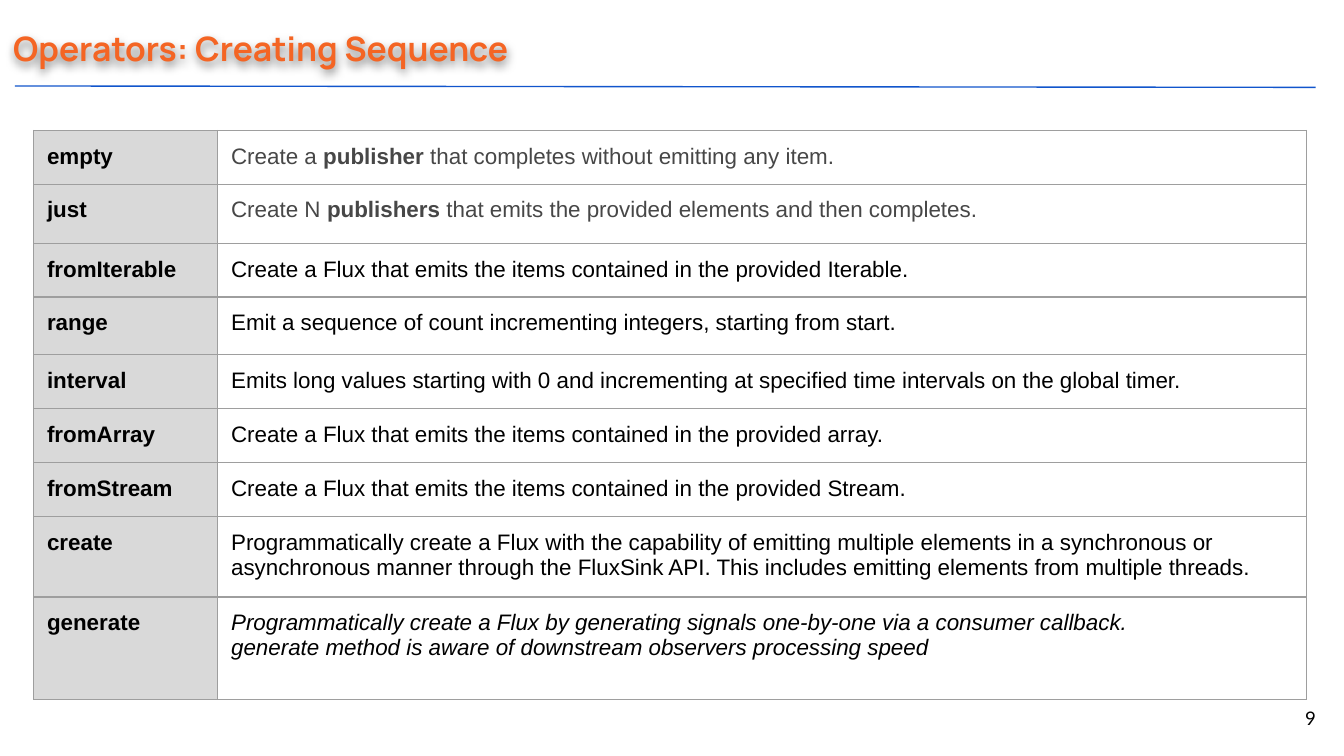
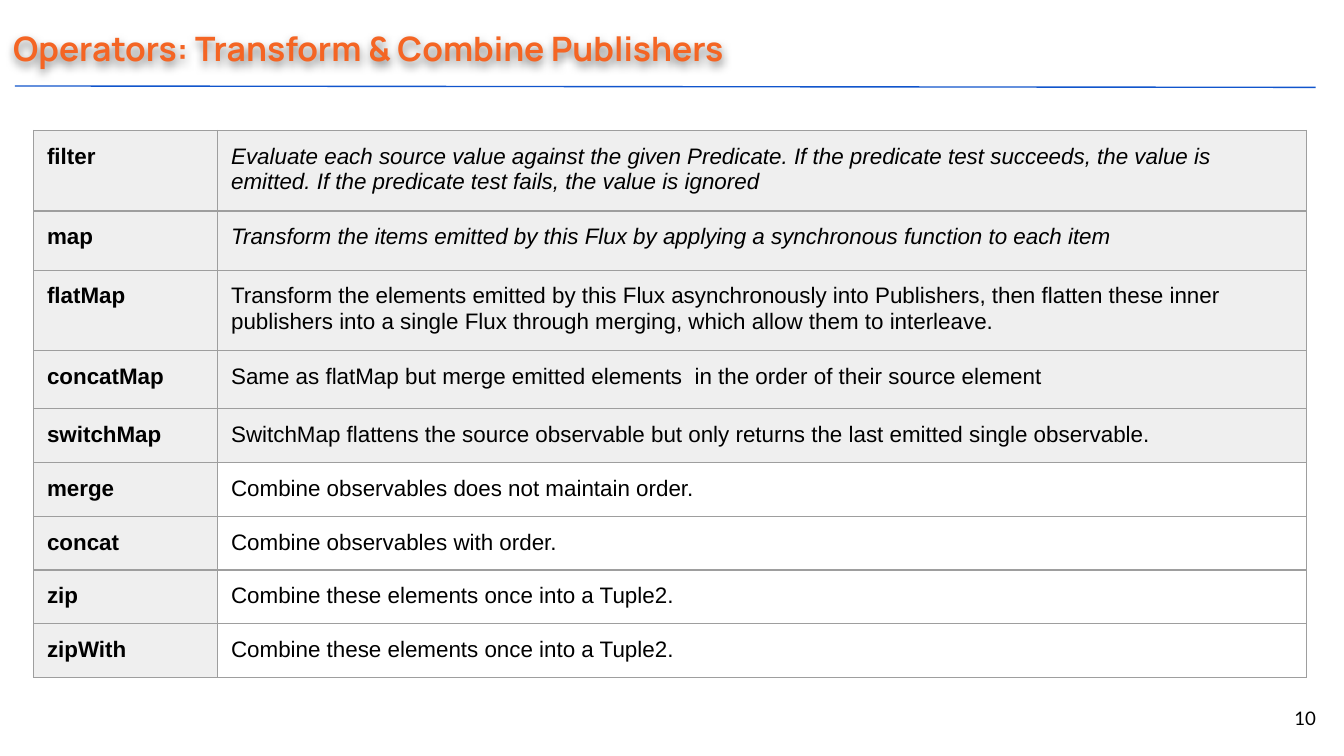
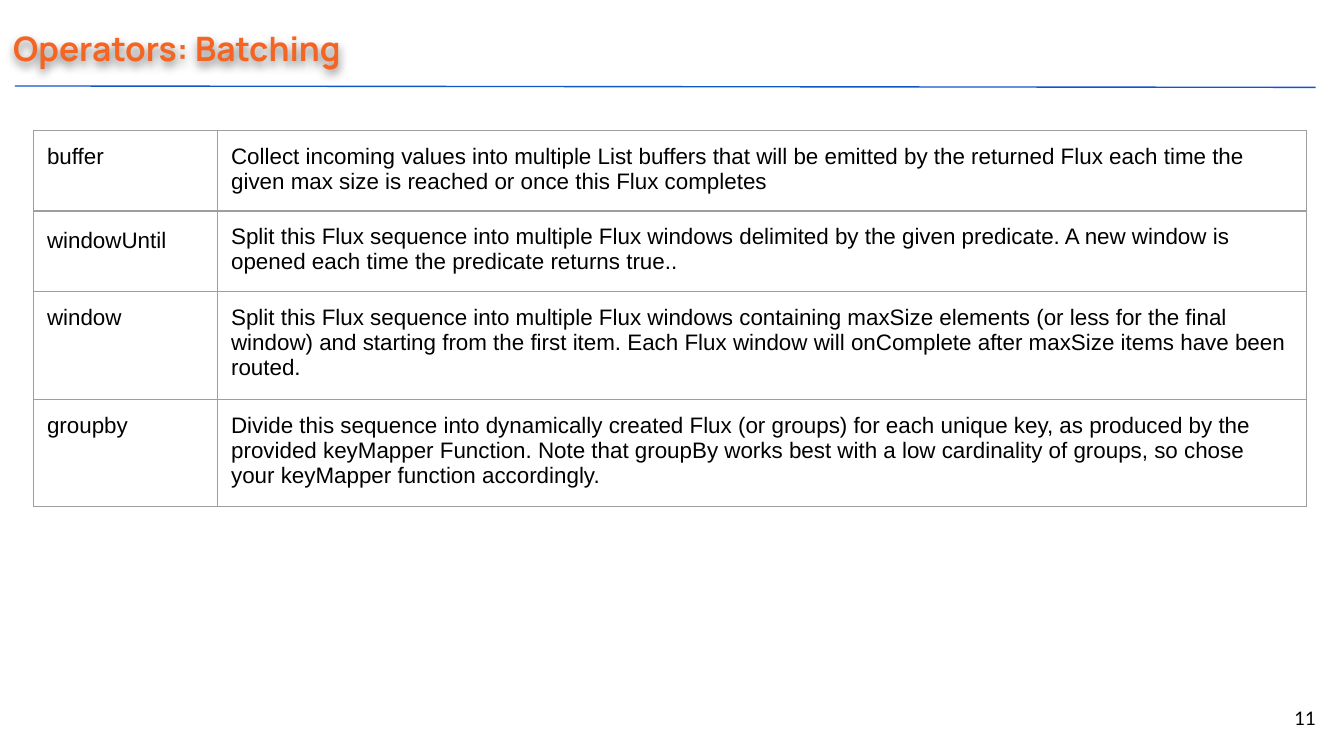
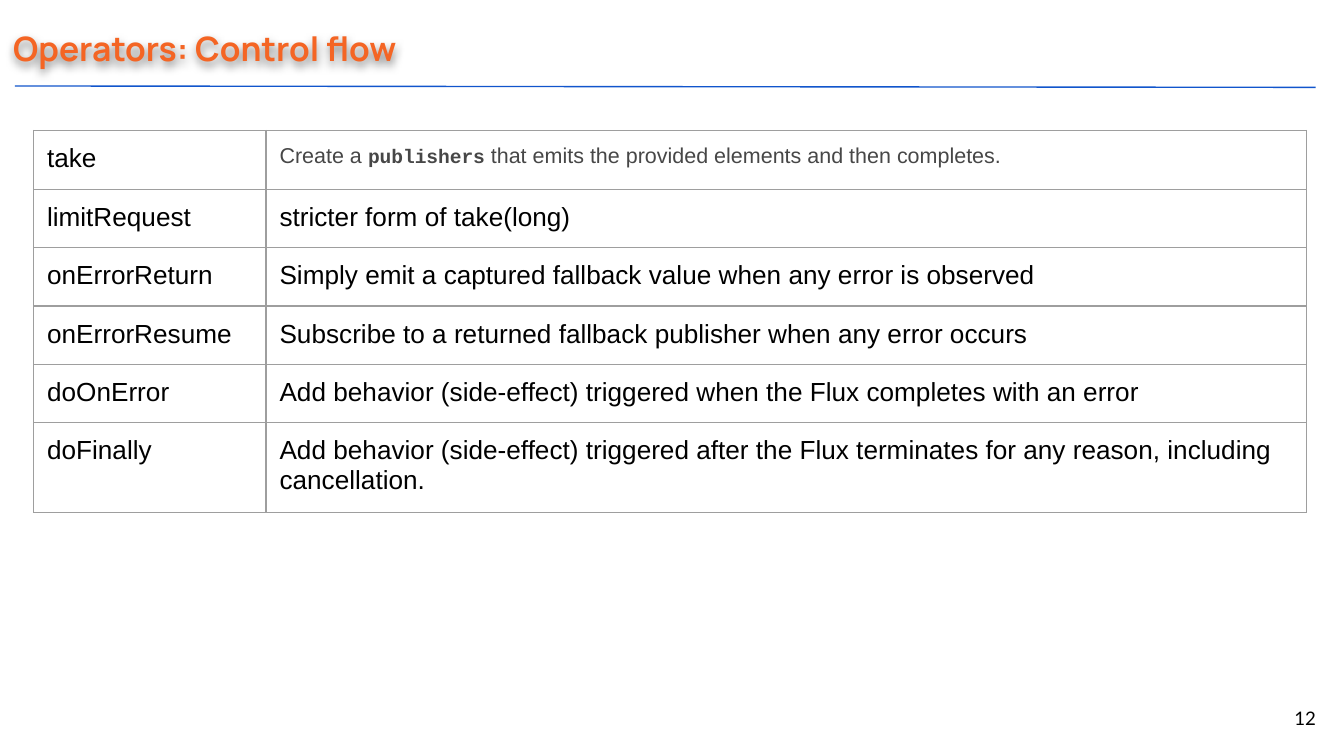
import pptx
import pptx.dml.color
import pptx.enum.shapes
import pptx.enum.text
import pptx.oxml
import pptx.util

ORANGE, BLUE, BORDER = "F46524", "1155CC", "9E9E9E"
BLACK, SLATE, WHITE = "000000", "474747", "FFFFFF"
GRAY, PALE = "D9D9D9", "EFEFEF"

GREY_TEXT = {"color": SLATE}
GREY_BOLD = {"color": SLATE, "bold": True}
ITALIC = {"italic": True}
SMALL_GREY = {"color": SLATE, "size": 11.5}
CODE = {"color": SLATE, "size": 10.5, "font": "Courier New", "bold": True}

# A description is plain text or a list of paragraphs, each a list of (text, style) runs.
# "tall" gives the height of rows that exceed the usual one, by row index.
SLIDES = [
    {
        "title": "Operators: Creating Sequence",
        "name_style": {"bold": True}, "name_fill": GRAY,
        "tall": {1: 44, 3: 43, 8: 76},
        "rows": [
            ("empty", [[("Create a ", GREY_TEXT), ("publisher", GREY_BOLD),
                        (" that completes without emitting any item.", GREY_TEXT)]]),
            ("just", [[("Create N ", GREY_TEXT), ("publishers ", GREY_BOLD),
                       ("that emits the provided elements and then completes.", GREY_TEXT)]]),
            ("fromIterable", "Create a Flux that emits the items contained in the provided Iterable."),
            ("range", "Emit a sequence of count incrementing integers, starting from start."),
            ("interval", "Emits long values starting with 0 and incrementing at specified time "
                         "intervals on the global timer."),
            ("fromArray", "Create a Flux that emits the items contained in the provided array."),
            ("fromStream", "Create a Flux that emits the items contained in the provided Stream."),
            ("create", "Programmatically create a Flux with the capability of emitting multiple "
                       "elements in a synchronous or asynchronous manner through the FluxSink API. "
                       "This includes emitting elements from multiple threads."),
            ("generate", [[("Programmatically create a Flux by generating signals one-by-one via "
                            "a consumer callback.", ITALIC)],
                          [("generate method is aware of downstream observers processing speed",
                            ITALIC)]]),
        ],
    },
    {
        "title": "Operators: Transform & Combine Publishers",
        "name_style": {"bold": True}, "name_fill": PALE,
        "shaded_descriptions": 5,
        "tall": {1: 44, 3: 43},
        "rows": [
            ("filter", [[("Evaluate each source value against the given Predicate. If the predicate "
                          "test succeeds, the value is emitted. If the predicate test fails, the "
                          "value is ignored", ITALIC)]]),
            ("map", [[("Transform the items emitted by this Flux by applying a synchronous function "
                       "to each item", ITALIC)]]),
            ("flatMap", "Transform the elements emitted by this Flux asynchronously into Publishers, "
                        "then flatten these inner publishers into a single Flux through merging, "
                        "which allow them to interleave."),
            ("concatMap", "Same as flatMap but merge emitted elements  in the order of their source "
                          "element"),
            ("switchMap", "SwitchMap flattens the source observable but only returns the last "
                          "emitted single observable."),
            ("merge", "Combine observables does not maintain order."),
            ("concat", "Combine observables with order."),
            ("zip", "Combine these elements once into a Tuple2."),
            ("zipWith", "Combine these elements once into a Tuple2."),
        ],
    },
    {
        "title": "Operators: Batching",
        "tall": {1: 44},
        "loose_names": ["windowUntil"],
        "rows": [
            ("buffer", "Collect incoming values into multiple List buffers that will be emitted by "
                       "the returned Flux each time the given max size is reached or once this Flux "
                       "completes"),
            ("windowUntil", "Split this Flux sequence into multiple Flux windows delimited by the "
                            "given predicate. A new window is opened each time the predicate "
                            "returns true.."),
            ("window", "Split this Flux sequence into multiple Flux windows containing maxSize "
                       "elements (or less for the final window) and starting from the first item. "
                       "Each Flux window will onComplete after maxSize items have been routed."),
            ("groupby", "Divide this sequence into dynamically created Flux (or groups) for each "
                        "unique key, as produced by the provided keyMapper Function. Note that "
                        "groupBy works best with a low cardinality of groups, so chose your "
                        "keyMapper function accordingly."),
        ],
    },
    {
        "title": "Operators: Control flow",
        "size": 14, "name_width": 173,
        "tall": {0: 44},
        "rows": [
            ("take", [[("Create a ", SMALL_GREY), ("publishers", CODE),
                       (" that emits the provided elements and then completes.", SMALL_GREY)]]),
            ("limitRequest", "stricter form of take(long)"),
            ("onErrorReturn", "Simply emit a captured fallback value when any error is observed"),
            ("onErrorResume", "Subscribe to a returned fallback publisher when any error occurs"),
            ("doOnError", "Add behavior (side-effect) triggered when the Flux completes with an error"),
            ("doFinally", "Add behavior (side-effect) triggered after the Flux terminates for any "
                          "reason, including cancellation."),
        ],
    },
]

FIRST_NUMBER = 9
SLIDE_WIDTH = 1000
TITLE_BOX = (0, 11, 996, 57)
RULE_START, RULE_END = (11, 64), (979, 65)
NUMBER_BOX = (929, 513, 60, 43)
TABLE_LEFT, TABLE_TOP, TABLE_WIDTH = 25, 97, 947
NAME_WIDTH, ROW_HEIGHT, INSET = 137, 32, 10
EMU_PER_PX = 9144

NAMESPACE = 'xmlns:a="http://schemas.openxmlformats.org/drawingml/2006/main"'
BORDER_XML = (f'<a:{{side}} {NAMESPACE} w="9525"><a:solidFill><a:srgbClr val="{BORDER}"/>'
              f'</a:solidFill><a:prstDash val="solid"/></a:{{side}}>')
TITLE_SHADOW_XML = (f'<a:effectLst {NAMESPACE}><a:outerShdw blurRad="57150" dist="19050" '
                    f'dir="5400000" algn="bl" rotWithShape="0"><a:srgbClr val="{BLACK}">'
                    f'<a:alpha val="50000"/></a:srgbClr></a:outerShdw></a:effectLst>')
NO_EFFECT_XML = f'<a:effectLst {NAMESPACE}/>'


def px(*lengths):
    """Turn px into EMU."""
    return [pptx.util.Emu(length * EMU_PER_PX) for length in lengths]


def rgb(color):
    return pptx.dml.color.RGBColor.from_string(color)


def add_run(paragraph, text, size, font="Arial", color=BLACK, bold=False, italic=False):
    run = paragraph.add_run()
    run.text = text
    run.font.size = pptx.util.Pt(size)
    run.font.name = font
    run.font.color.rgb = rgb(color)
    run.font.bold = bold
    run.font.italic = italic


def set_insets(holder):
    holder.margin_left, holder.margin_top, holder.margin_right, holder.margin_bottom = px(*[INSET] * 4)


def add_text(slide, box, text, anchor, alignment, **style):
    shape = slide.shapes.add_textbox(*px(*box))
    frame = shape.text_frame
    frame.word_wrap = True
    frame.vertical_anchor = anchor
    set_insets(frame)
    frame.paragraphs[0].alignment = alignment
    add_run(frame.paragraphs[0], text, **style)
    return shape


def add_frame(slide, title, number):
    """Add what every slide shares: title, rule and page number."""
    anchors, alignments = pptx.enum.text.MSO_ANCHOR, pptx.enum.text.PP_ALIGN
    slide.background.fill.solid()
    slide.background.fill.fore_color.rgb = rgb(WHITE)
    heading = add_text(slide, TITLE_BOX, title, anchors.TOP, alignments.LEFT,
                       size=18, font="Manrope", color=ORANGE, bold=True)
    heading._element.spPr.append(pptx.oxml.parse_xml(TITLE_SHADOW_XML))
    rule = slide.shapes.add_connector(pptx.enum.shapes.MSO_CONNECTOR.STRAIGHT,
                                      *px(*RULE_START, *RULE_END))
    rule.line.color.rgb = rgb(BLUE)
    rule.line.width = pptx.util.Pt(0.75)
    rule._element.spPr.append(pptx.oxml.parse_xml(NO_EFFECT_XML))
    add_text(slide, NUMBER_BOX, str(number), anchors.MIDDLE, alignments.RIGHT, size=10, font="Lato")


def fill_cell(cell, paragraphs, size, fill, line_spacing=1.0):
    set_insets(cell)
    for index, runs in enumerate(paragraphs):
        frame = cell.text_frame
        paragraph = frame.add_paragraph() if index else frame.paragraphs[0]
        paragraph.line_spacing = line_spacing
        for text, style in runs:
            add_run(paragraph, text, **{"size": size, **style})
    properties = cell._tc.get_or_add_tcPr()
    for side in ("lnL", "lnR", "lnT", "lnB"):
        properties.append(pptx.oxml.parse_xml(BORDER_XML.format(side=side)))
    if fill:
        cell.fill.solid()
        cell.fill.fore_color.rgb = rgb(fill)
    else:
        cell.fill.background()


def add_operator_table(slide, content):
    rows = content["rows"]
    heights = [content["tall"].get(index, ROW_HEIGHT) for index in range(len(rows))]
    name_width = content.get("name_width", NAME_WIDTH)
    size = content.get("size", 12)
    name_fill = content.get("name_fill")
    table = slide.shapes.add_table(len(rows), 2, *px(TABLE_LEFT, TABLE_TOP, TABLE_WIDTH,
                                                     sum(heights))).table
    table.first_row = table.horz_banding = False
    for column, width in zip(table.columns, px(name_width, TABLE_WIDTH - name_width)):
        column.width = width
    for index, (name, description) in enumerate(rows):
        table.rows[index].height = px(heights[index])[0]
        loose = name in content.get("loose_names", [])
        fill_cell(table.cell(index, 0), [[(name, content.get("name_style", {}))]], size, name_fill,
                  1.15 if loose else 1.0)
        if isinstance(description, str):
            description = [[(description, {})]]
        shaded = index < content.get("shaded_descriptions", 0)
        fill_cell(table.cell(index, 1), description, size, name_fill if shaded else None)


def main():
    presentation = pptx.Presentation()
    presentation.slide_width = px(SLIDE_WIDTH)[0]
    presentation.slide_height = presentation.slide_width * 9 // 16
    for number, content in enumerate(SLIDES, FIRST_NUMBER):
        slide = presentation.slides.add_slide(presentation.slide_layouts[6])
        add_frame(slide, content["title"], number)
        add_operator_table(slide, content)
    presentation.save("out.pptx")


if __name__ == "__main__":
    main()
